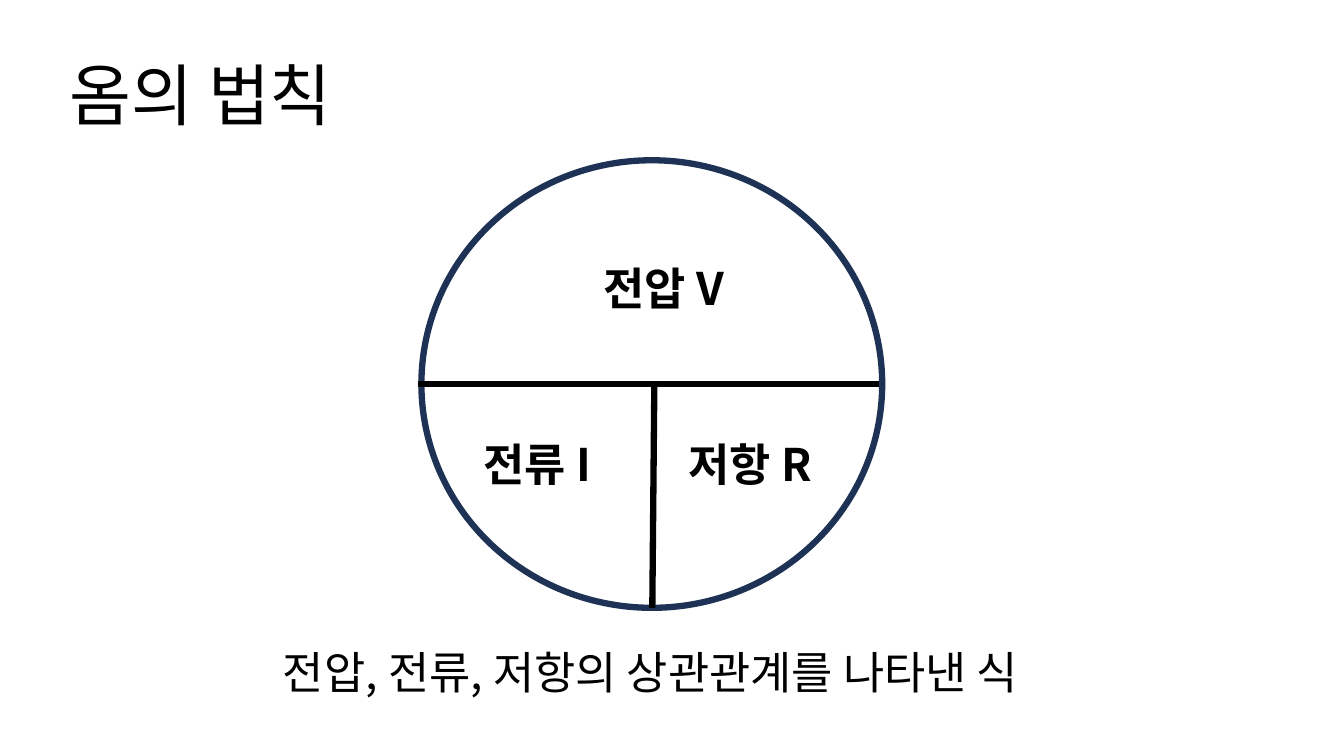
import pptx
import pptx.util
import pptx.dml.color
import pptx.enum.shapes
import pptx.enum.text
import pptx.oxml.ns
from lxml import etree
from pptx.util import Inches

FONT = "Noto Sans CJK KR"
BLACK = "000000"
LINE_WIDTH = pptx.util.Pt(4.5)


def color(hex_string):
    return pptx.dml.color.RGBColor.from_string(hex_string)


def add_text(slide, text, left, top, width, height, size=32, bold=False, wrap=True):
    box = slide.shapes.add_textbox(Inches(left), Inches(top), Inches(width), Inches(height))
    frame = box.text_frame
    frame.text = text
    frame.word_wrap = wrap
    frame.vertical_anchor = pptx.enum.text.MSO_ANCHOR.MIDDLE
    paragraph = frame.paragraphs[0]
    for run in paragraph.runs:
        run.font.size = pptx.util.Pt(size)
        run.font.bold = bold
        run.font.color.rgb = color(BLACK)
        run.font.name = FONT
        east_asian = etree.SubElement(run.font._element, pptx.oxml.ns.qn("a:ea"))
        east_asian.set("typeface", FONT)
    return paragraph


def add_circle(slide, left, top, width, height):
    circle = slide.shapes.add_shape(
        pptx.enum.shapes.MSO_SHAPE.OVAL,
        Inches(left), Inches(top), Inches(width), Inches(height))
    circle.shadow.inherit = False
    circle.fill.solid()
    circle.fill.fore_color.rgb = color("FFFFFF")
    circle.line.color.rgb = color("1E3256")
    circle.line.width = LINE_WIDTH


def add_divider(slide, start_x, start_y, end_x, end_y):
    divider = slide.shapes.add_connector(
        pptx.enum.shapes.MSO_CONNECTOR.STRAIGHT,
        Inches(start_x), Inches(start_y), Inches(end_x), Inches(end_y))
    divider.line.color.rgb = color(BLACK)
    divider.line.width = LINE_WIDTH
    etree.SubElement(divider._element.spPr, pptx.oxml.ns.qn("a:effectLst"))


def main():
    presentation = pptx.Presentation()
    presentation.slide_width = Inches(13.33)
    presentation.slide_height = Inches(7.5)
    slide = presentation.slides.add_slide(presentation.slide_layouts[6])

    title = add_text(slide, "옴의 법칙", 0.59, 0.25, 11.5, 1.45, size=48)
    title.line_spacing = 0.9

    add_circle(slide, 4.18, 1.59, 4.57, 4.44)
    add_divider(slide, 4.15, 3.81, 8.72, 3.81)
    add_divider(slide, 6.47, 6.03, 6.49, 3.81)

    quantities = [
        ("전압 V", 5.89, 2.53, 1.56),
        ("전류 I", 4.7, 4.28, 1.4),
        ("저항 R", 6.73, 4.28, 1.55),
    ]
    for label, left, top, width in quantities:
        add_text(slide, label, left, top, width, 0.64, bold=True, wrap=False)

    caption = add_text(slide, "전압, 전류, 저항의 상관관계를 나타낸 식", 1.94, 6.34, 9.03, 0.64)
    caption.alignment = pptx.enum.text.PP_ALIGN.CENTER

    presentation.save("out.pptx")


if __name__ == "__main__":
    main()
